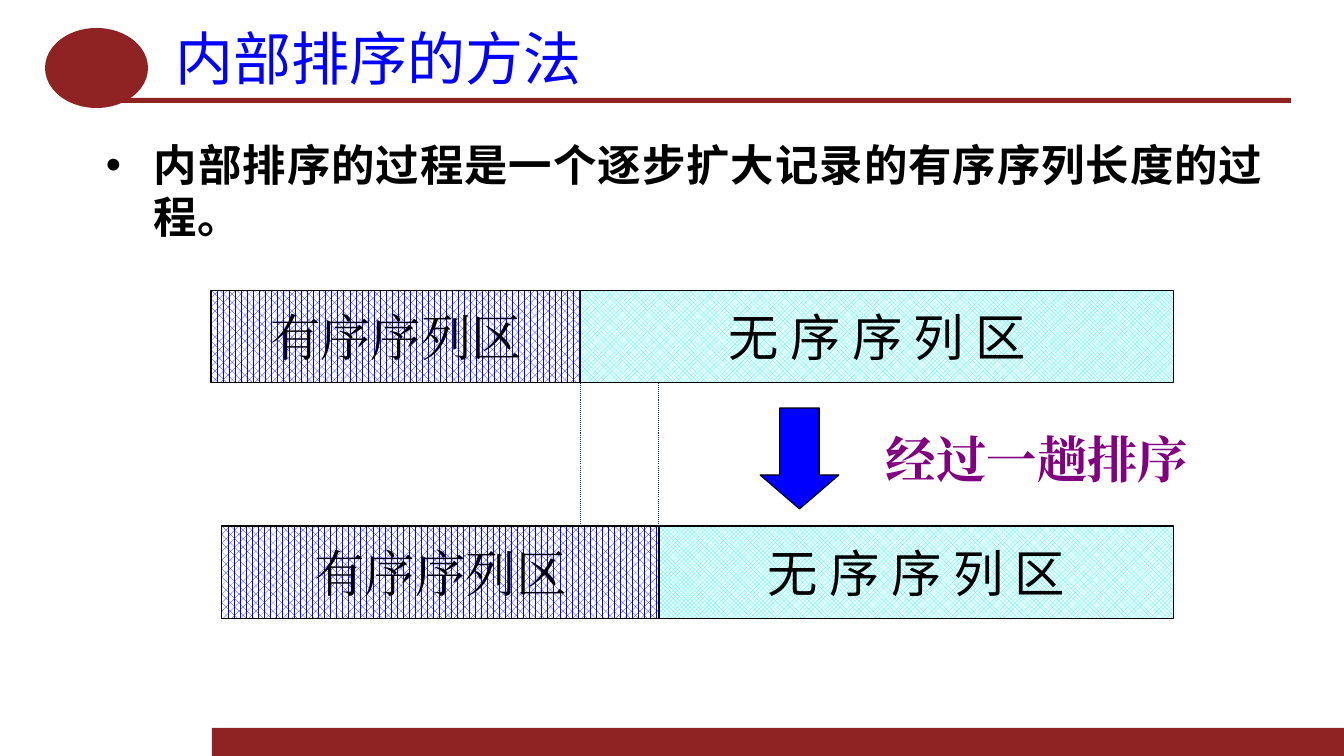
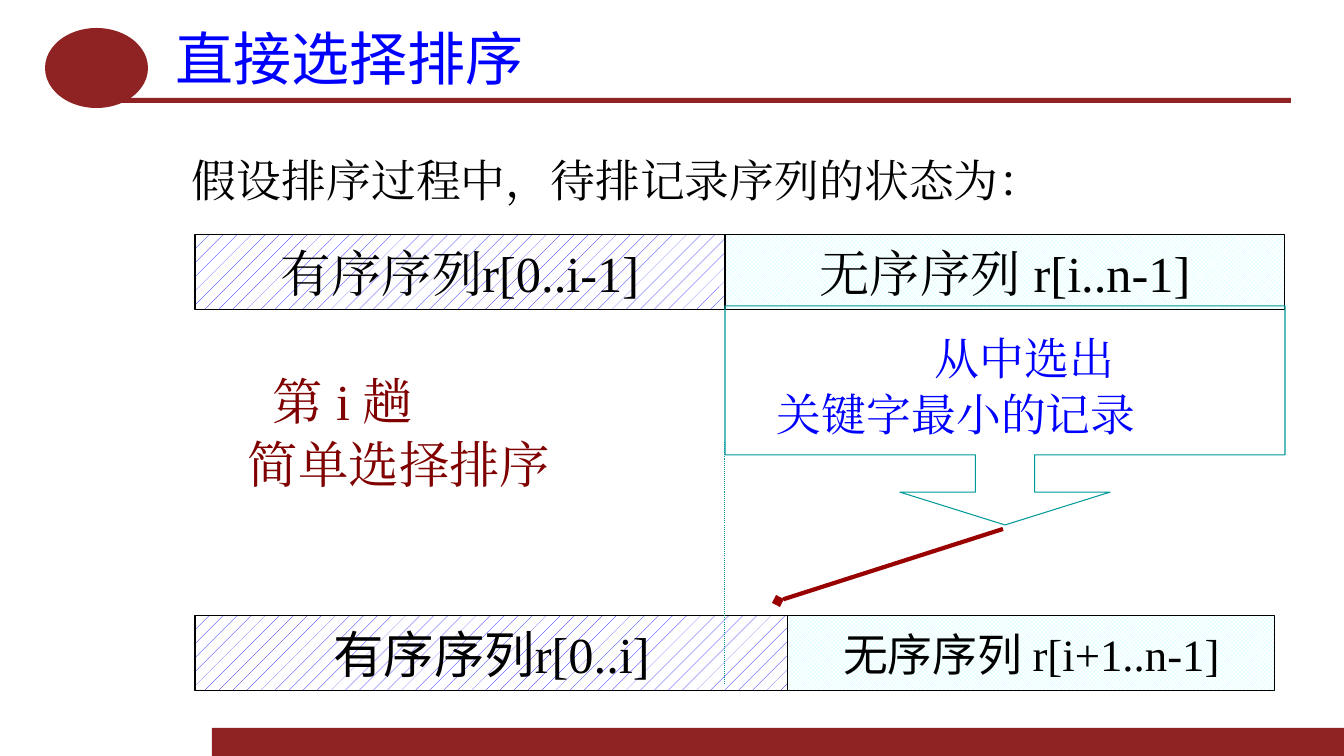
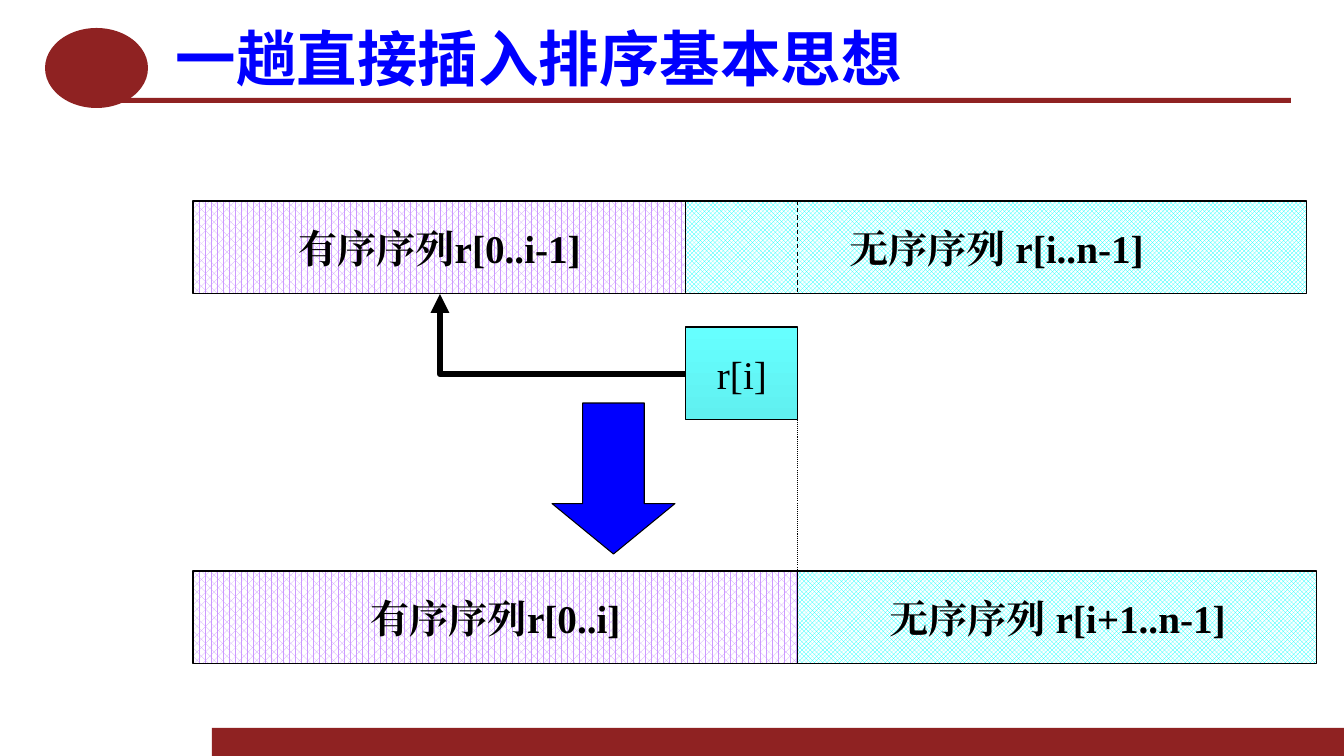
import pptx
import pptx.util
import pptx.dml.color
import pptx.enum.dml
import pptx.enum.shapes
import pptx.enum.text
import pptx.oxml.ns
from lxml import etree

PX = 914400 / 100.8
SHAPE = pptx.enum.shapes.MSO_SHAPE
LINK = pptx.enum.shapes.MSO_CONNECTOR
PATTERN = pptx.enum.dml.MSO_PATTERN
DASH = pptx.enum.dml.MSO_LINE
ALIGN = pptx.enum.text.PP_ALIGN
ANCHOR = pptx.enum.text.MSO_ANCHOR
qn = pptx.oxml.ns.qn


class Theme:
    band, title, black, white = "8F2222", "0000FF", "000000", "FFFFFF"
    blue, cyan, pale_cyan, lilac = "0000FF", "00FFFF", "CCFFFF", "CC99FF"
    purple, maroon, dark_red, teal, navy = "800080", "800000", "990000", "009999", "003366"
    key_top, key_bottom = "66FFFF", "60F0F0"
    serif, sans, cjk = "Times New Roman", "Calibri", "Noto Sans CJK SC"
    title_size, title_large, body, large, medium, small = 41.4, 43.2, 31, 36, 32, 28
    thin = 0.75


# Pattern and colour of the sorted and unsorted parts, per slide
METHOD_FILLS = ((PATTERN.PERCENT_60, Theme.blue), (PATTERN.TRELLIS, Theme.cyan))
SELECT_FILLS = ((PATTERN.PERCENT_5, Theme.blue), (PATTERN.TRELLIS, Theme.pale_cyan))
INSERT_FILLS = ((PATTERN.PERCENT_60, Theme.lilac), (PATTERN.TRELLIS, Theme.cyan))


def px(n):
    return pptx.util.Emu(round(n * PX))


def rgb(code):
    return pptx.dml.color.RGBColor.from_string(code)


# Text
def write(p, text, size=Theme.large, color=Theme.black, font=Theme.serif,
          east=None, bold=False, align=None, spacing=None, indent=0, bullet=None):
    """Add text to a paragraph; east is the East Asian font, by default the same."""
    pPr = p._p.get_or_add_pPr()
    if align is not None:
        p.alignment = align
    if spacing:
        p.line_spacing = spacing
    if indent:
        pPr.set("marL", str(px(indent)))
    if bullet:
        pPr.set("indent", str(-px(indent)))
        etree.SubElement(pPr, qn("a:buFont"), typeface="Arial")
        etree.SubElement(pPr, qn("a:buChar"), char=bullet)
    r = p.add_run()
    r.text = text
    r.font.size = pptx.util.Pt(size)
    r.font.bold = bold
    r.font.color.rgb = rgb(color)
    r.font.name = font
    etree.SubElement(r.font._element, qn("a:ea"), typeface=east or font)


def textbox(s, x, y, w, h, lines, anchor=ANCHOR.TOP, inset=(10, 5)):
    """Each line is a pair of text and format."""
    tf = s.shapes.add_textbox(px(x), px(y), px(w), px(h)).text_frame
    tf.word_wrap = True
    tf.vertical_anchor = anchor
    tf.margin_left = tf.margin_right = px(inset[0])
    tf.margin_top = tf.margin_bottom = px(inset[1])
    for i, (text, fmt) in enumerate(lines):
        write(tf.add_paragraph() if i else tf.paragraphs[0], text, **fmt)


# Shapes
def shape(s, kind, x, y, w, h, fill=None, line=None, adj=()):
    sp = s.shapes.add_shape(kind, px(x), px(y), px(w), px(h))
    sp.shadow.inherit = False
    for i, value in enumerate(adj):
        sp.adjustments[i] = value
    if fill:
        sp.fill.solid()
        sp.fill.fore_color.rgb = rgb(fill)
    else:
        sp.fill.background()
    if line:
        sp.line.color.rgb = rgb(line)
        sp.line.width = pptx.util.Pt(Theme.thin)
    else:
        sp.line.fill.background()
    return sp


def cell(s, x, y, w, h, text, **fmt):
    sp = shape(s, SHAPE.RECTANGLE, x, y, w, h, line=Theme.black)
    tf = sp.text_frame
    tf.word_wrap = False
    tf.vertical_anchor = ANCHOR.MIDDLE
    write(tf.paragraphs[0], text, align=ALIGN.CENTER, **fmt)
    return sp


def sequence(s, y, h, edges, fills, labels):
    """A sorted and an unsorted part side by side between three edges."""
    for left, right, (pattern, color), (text, fmt) in zip(edges, edges[1:], fills, labels):
        fill = cell(s, left, y, right - left, h, text, **fmt).fill
        fill.patterned()
        fill.pattern = pattern
        fill.fore_color.rgb = rgb(color)
        fill.back_color.rgb = rgb(Theme.white)


def line(s, start, end, color, width=Theme.thin, dash=None, tail=None, kind=LINK.STRAIGHT):
    c = s.shapes.add_connector(kind, *map(px, (*start, *end)))
    c.line.color.rgb = rgb(color)
    c.line.width = pptx.util.Pt(width)
    if dash:
        c.line.dash_style = dash
    spPr = c.element.spPr
    if tail:
        etree.SubElement(spPr.find(qn("a:ln")), qn("a:tailEnd"), type=tail)
    etree.SubElement(spPr, qn("a:effectLst"))
    return c


def corner_arrow(s, x, y, right, bottom, **fmt):
    """Run left from the lower right corner, then up to the upper left one."""
    spPr = line(s, (x, y), (right, bottom), kind=LINK.ELBOW, **fmt).element.spPr
    spPr.find(qn("a:xfrm")).set("rot", str(180 * 60000))
    spPr.find(qn("a:prstGeom")).set("prst", "bentConnector2")


# Frame shared by all slides
def new_slide(prs, title, size=Theme.title_size, bold=False):
    s = prs.slides.add_slide(prs.slide_layouts[6])
    shape(s, SHAPE.RECTANGLE, 212, 728, 1132, 28, Theme.band)
    shape(s, SHAPE.RECTANGLE, 119, 98, 1172, 5, Theme.band)
    shape(s, SHAPE.OVAL, 45, 28, 103, 80, Theme.band)
    fmt = dict(size=size, bold=bold, color=Theme.title, font=Theme.cjk, align=ALIGN.JUSTIFY)
    textbox(s, 163, 21, 1128, 72, [(title, fmt)], ANCHOR.MIDDLE, (13, 6))
    return s


def methods_slide(prs):
    s = new_slide(prs, "内部排序的方法")
    textbox(s, 93, 132, 1183, 536, [
        ("内部排序的过程是一个逐步扩大记录的有序序列长度的过程。",
         dict(size=Theme.body, font=Theme.sans, bold=True, align=ALIGN.JUSTIFY,
              indent=48, bullet="•"))], inset=(13, 6))
    labels = [("有序序列区", {}), ("无 序 序 列 区", dict(font=Theme.cjk))]
    sequence(s, 290, 93, (211, 581, 1174), METHOD_FILLS, labels)
    sequence(s, 526, 93, (222, 659, 1174), METHOD_FILLS, labels)
    for x in (581, 659):
        line(s, (x, 383), (x, 526), Theme.navy, dash=DASH.ROUND_DOT)
    shape(s, SHAPE.DOWN_ARROW, 760, 408, 79, 101, Theme.blue, Theme.black, (0.5, 0.43))
    textbox(s, 876, 423, 407, 71, [("经过一趟排序", dict(color=Theme.purple, bold=True))])


def selection_slide(prs):
    s = new_slide(prs, "直接选择排序")
    textbox(s, 182, 148, 880, 65,
            [("假设排序过程中，待排记录序列的状态为：", dict(size=Theme.medium))])
    sequence(s, 235, 75, (195, 725, 1285), SELECT_FILLS,
             [("有序序列r[0..i-1]", {}), ("无序序列 r[i..n-1]", {})])
    step = dict(color=Theme.maroon, spacing=1.05)
    textbox(s, 238, 362, 455, 137,
            [("第 i 趟", dict(step, indent=25)), ("简单选择排序", step)])
    choice = dict(size=Theme.medium, color=Theme.blue, spacing=1.05)
    textbox(s, 767, 323, 515, 124,
            [("从中选出", dict(choice, align=ALIGN.CENTER)), ("关键字最小的记录", choice)])
    shape(s, SHAPE.DOWN_ARROW_CALLOUT, 725, 306, 560, 219, line=Theme.teal,
          adj=(0.27, 0.48, 0.15, 0.68))
    sequence(s, 616, 75, (195, 788, 1275), SELECT_FILLS,
             [("有序序列r[0..i]", dict(east=Theme.cjk)),
              ("无序序列 r[i+1..n-1]", dict(east=Theme.cjk, size=Theme.medium))])
    line(s, (1003, 529), (778, 601), Theme.dark_red, 3, tail="diamond")
    line(s, (725, 442), (725, 685), Theme.teal, dash=DASH.ROUND_DOT)


def insertion_slide(prs):
    s = new_slide(prs, "一趟直接插入排序基本思想", Theme.title_large, True)
    label = dict(size=Theme.small, bold=True)
    sequence(s, 201, 93, (193, 686, 1307), INSERT_FILLS,
             [("有序序列r[0..i-1]", label), ("无序序列 r[i..n-1]", label)])
    sequence(s, 571, 93, (193, 798, 1317), INSERT_FILLS,
             [("有序序列r[0..i]", label), ("无序序列 r[i+1..n-1]", label)])
    # Record being inserted
    fill = cell(s, 686, 327, 112, 93, "r[i]", size=Theme.small).fill
    fill.gradient()
    fill.gradient_angle = 270
    for stop, position, color in zip(fill.gradient_stops, (0, 1),
                                     (Theme.key_top, Theme.key_bottom)):
        stop.position = position
        stop.color.rgb = rgb(color)
    corner_arrow(s, 440, 294, 686, 374, color=Theme.black, width=4.5, tail="triangle")
    shape(s, SHAPE.DOWN_ARROW, 552, 403, 123, 151, Theme.blue, Theme.black, (0.5, 0.41))
    line(s, (798, 201), (798, 294), Theme.black, dash=DASH.DASH)
    line(s, (798, 420), (798, 571), Theme.black, dash=DASH.ROUND_DOT)


def main():
    prs = pptx.Presentation()
    prs.slide_width, prs.slide_height = px(1344), px(756)
    methods_slide(prs)
    selection_slide(prs)
    insertion_slide(prs)
    prs.save("out.pptx")


if __name__ == "__main__":
    main()
